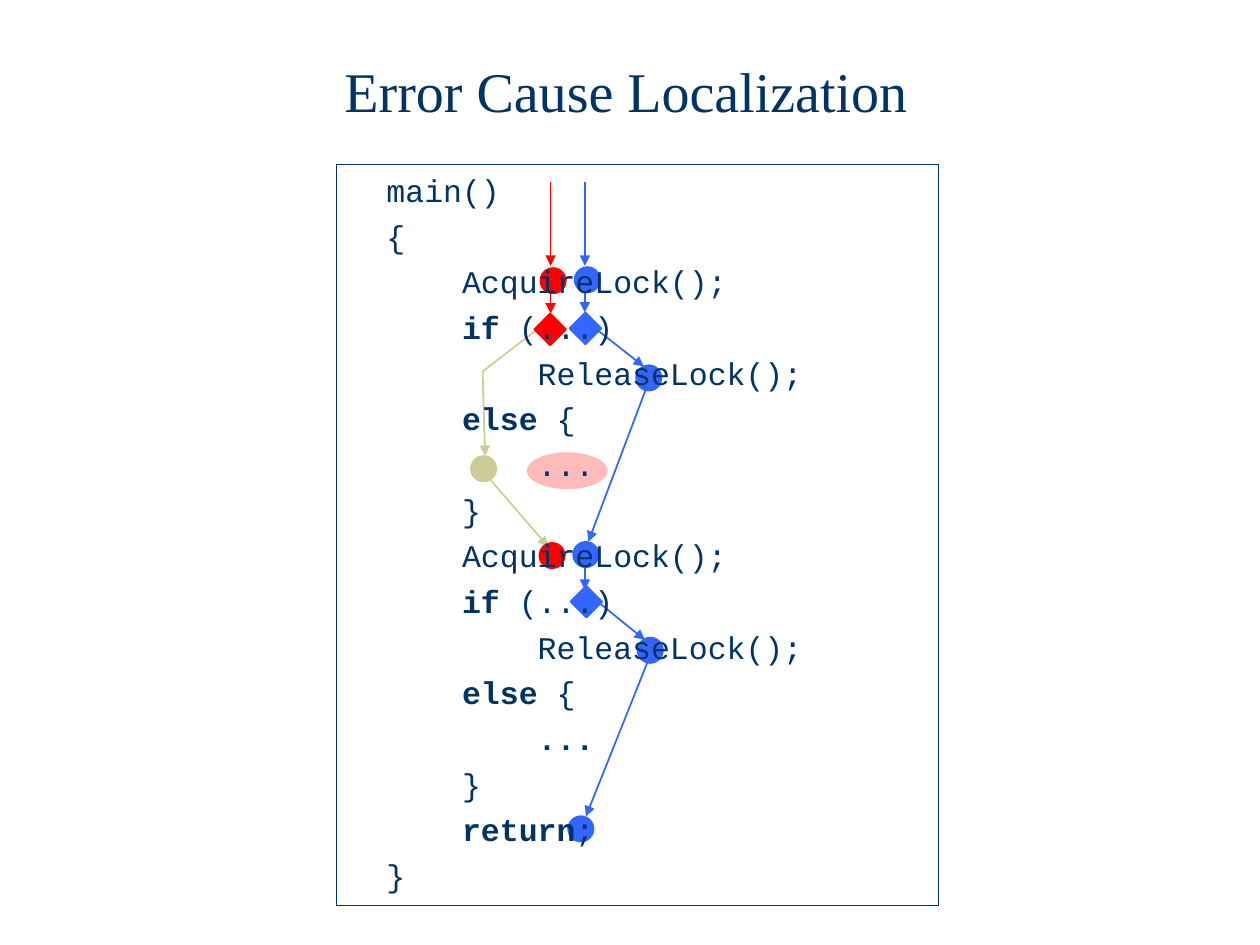
from lxml import etree
from pptx import Presentation
from pptx import util as u
from pptx.dml.color import RGBColor
from pptx.enum import shapes, text
from pptx.oxml import ns

NAVY = RGBColor(0x00, 0x33, 0x66)
BLUE = RGBColor(0x33, 0x66, 0xFF)
RED = RGBColor(0xFF, 0x00, 0x00)
TAN = RGBColor(0xCC, 0xCC, 0x99)

CIRCLE, DIAMOND = shapes.MSO_SHAPE.OVAL, shapes.MSO_SHAPE.DIAMOND
NODE_SIZE = {CIRCLE: 0.51, DIAMOND: 0.64}
CHARACTER_WIDTH = u.Pt(10.8)

# Code lines: indent in characters, bold part, plain part
CODE = [
    (2, "", "main()"),
    (2, "", "{"),
    (6, "", "AcquireLock();"),
    (6, "if", " (...)"),
    (10, "", "ReleaseLock();"),
    (6, "else", " {"),
    (10, "", "..."),
    (6, "", "}"),
    (6, "", "AcquireLock();"),
    (6, "if", " (...)"),
    (10, "", "ReleaseLock();"),
    (6, "else", " {"),
    (10, "...", ""),
    (6, "", "}"),
    (6, "return", ";"),
    (2, "", "}"),
]

# Execution traces: colour, nodes (kind, centre), arrows (points)
TRACES = [
    (BLUE,
     [(CIRCLE, 11.84, 5.64), (DIAMOND, 11.8, 6.62), (CIRCLE, 13.08, 7.62),
      (CIRCLE, 11.81, 11.18), (DIAMOND, 11.82, 12.13), (CIRCLE, 13.11, 13.11),
      (CIRCLE, 11.71, 16.71)],
     [[(11.79, 3.66), (11.79, 5.36)], [(11.79, 5.46), (11.79, 6.3)],
      [(11.91, 6.55), (12.98, 7.39)], [(13.03, 7.82), (11.86, 10.92)],
      [(11.79, 11.02), (11.79, 11.89)], [(11.94, 12.04), (13, 12.9)],
      [(13.08, 13.28), (11.81, 16.46)]]),
    (TAN,
     [(CIRCLE, 9.75, 9.45)],
     [[(10.82, 6.65), (9.73, 7.49), (9.78, 9.19)], [(9.78, 9.55), (11.05, 11.02)]]),
    (RED,
     [(CIRCLE, 11.15, 5.66), (DIAMOND, 11.09, 6.64), (CIRCLE, 11.13, 11.2)],
     [[(11.1, 3.66), (11.1, 5.36)], [(11.1, 5.46), (11.1, 6.32)]]),
]


def apply(target, values):
    for name, value in values.items():
        setattr(target, name, value)


class SlideBuilder:
    title_font = {"name": "Times New Roman", "size": u.Pt(32), "bold": False}
    code_font = {"name": "Courier New", "size": u.Pt(18)}

    def __init__(self, slide):
        self.slide = slide

    def title(self, wording, left, top, width, height):
        shape = self.slide.shapes.title
        apply(shape, {"left": u.Cm(left), "top": u.Cm(top),
                      "width": u.Cm(width), "height": u.Cm(height)})
        shape.text_frame.vertical_anchor = text.MSO_ANCHOR.MIDDLE
        paragraph = shape.text_frame.paragraphs[0]
        apply(paragraph, {"alignment": text.PP_ALIGN.CENTER, "line_spacing": 0.85})
        self.run(paragraph, wording, self.title_font)

    def run(self, paragraph, wording, values):
        run = paragraph.add_run()
        run.text = wording
        apply(run.font, values)
        run.font.color.rgb = NAVY

    def shape(self, kind, left, top, width, height, fill=None, line=None, weight=1):
        shape = self.slide.shapes.add_shape(
            kind, u.Cm(left), u.Cm(top), u.Cm(width), u.Cm(height))
        shape.shadow.inherit = False
        if fill is None:
            shape.fill.background()
        else:
            shape.fill.solid()
            shape.fill.fore_color.rgb = fill
        if line is None:
            shape.line.fill.background()
        else:
            shape.line.color.rgb = line
            shape.line.width = u.Pt(weight)
        return shape

    def highlight(self, left, top, width, height, colour, opacity):
        shape = self.shape(CIRCLE, left, top, width, height, colour)
        rgb = shape.fill._xPr.find(".//" + ns.qn("a:srgbClr"))
        etree.SubElement(rgb, ns.qn("a:alpha"), val=str(opacity * 1000))

    def node(self, kind, x, y, colour):
        size = NODE_SIZE[kind]
        self.shape(kind, x - size / 2, y - size / 2, size, size, colour, colour)

    def arrow(self, points, colour):
        points = [(u.Cm(x), u.Cm(y)) for x, y in points]
        if len(points) == 2:
            shape = self.slide.shapes.add_connector(
                shapes.MSO_CONNECTOR.STRAIGHT, *points[0], *points[1])
            etree.SubElement(shape._element.spPr, ns.qn("a:effectLst"))
        else:
            builder = self.slide.shapes.build_freeform(*points[0])
            builder.add_line_segments(points[1:], close=False)
            shape = builder.convert_to_shape()
            shape.shadow.inherit = False
            shape.fill.background()
        shape.line.color.rgb = colour
        shape.line.width = u.Pt(1)
        etree.SubElement(shape.line._get_or_add_ln(), ns.qn("a:tailEnd"), type="triangle")

    def code_box(self, lines, left, top, width, height):
        shape = self.shape(shapes.MSO_SHAPE.RECTANGLE, left, top, width, height,
                           line=NAVY, weight=0.75)
        frame = shape.text_frame
        apply(frame, {"word_wrap": True, "vertical_anchor": text.MSO_ANCHOR.TOP})
        for index, (indent, bold, plain) in enumerate(lines):
            paragraph = frame.add_paragraph() if index else frame.paragraphs[0]
            apply(paragraph, {"alignment": text.PP_ALIGN.LEFT, "space_before": u.Pt(4.5)})
            paragraph._p.get_or_add_pPr().set("marL", str(indent * CHARACTER_WIDTH))
            for wording, is_bold in ((bold, True), (plain, False)):
                if wording:
                    self.run(paragraph, wording, {**self.code_font, "bold": is_bold})


def main():
    presentation = Presentation()
    apply(presentation, {"slide_width": u.Cm(25.4), "slide_height": u.Cm(19.05)})
    slide = presentation.slides.add_slide(presentation.slide_layouts[5])
    builder = SlideBuilder(slide)

    builder.title("Error Cause Localization", 1.27, 0.89, 22.71, 2.08)

    # Suspected error cause
    builder.highlight(10.62, 9.12, 1.63, 0.74, RED, 27)

    # Traces through the program
    for colour, nodes, arrows in TRACES:
        for kind, x, y in nodes:
            builder.node(kind, x, y, colour)
        for points in arrows:
            builder.arrow(points, colour)

    # Program text in front of the traces
    builder.code_box(CODE, 6.78, 3.32, 12.14, 14.93)
    presentation.save("out.pptx")


if __name__ == "__main__":
    main()
